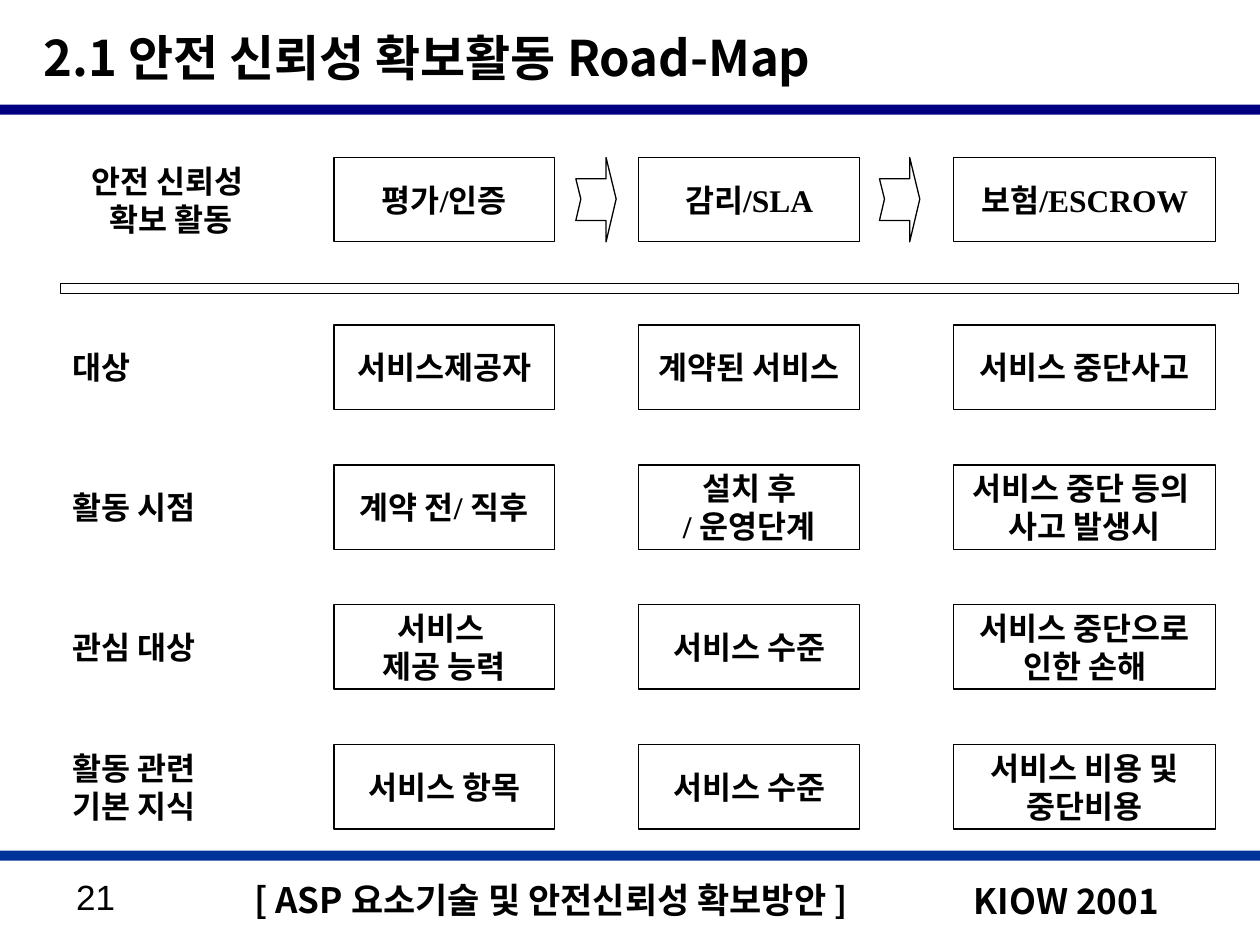
from lxml import etree
from pptx import Presentation
from pptx.dml.color import RGBColor
from pptx.enum.shapes import MSO_SHAPE
from pptx.enum.text import MSO_ANCHOR, PP_ALIGN
from pptx.oxml.ns import qn
from pptx.util import Inches, Pt

RECTANGLE = MSO_SHAPE.RECTANGLE
MIDDLE, TOP = MSO_ANCHOR.MIDDLE, MSO_ANCHOR.TOP
LEFT, CENTER = PP_ALIGN.LEFT, PP_ALIGN.CENTER

BLACK, NAVY, BLUE = "000000", "000080", "003399"
SANS, SERIF, PLAIN = "Noto Sans CJK KR", "Times New Roman", "Arial"

ROW_HEIGHT = 0.67
HEADER_TOP = 1.25
FIRST_ROW_TOP, ROW_PITCH = 2.58, 1.11
LABEL_LEFT, LABEL_WIDTH = 0.48, 1.75
COLUMNS = [(2.65, 1.75), (5.07, 1.75), (7.57, 2.08)]
ARROW_LEFTS = [4.57, 6.98]
ARROW_OUTLINE = [(0, 0.17), (0.24, 0.17), (0.24, 0), (0.32, 0.33),
                 (0.24, 0.67), (0.24, 0.5), (0, 0.5), (0.04, 0.33)]

HEADER = ("안전 신뢰성 \n확보 활동", ["평가/인증", "감리/SLA", "보험/ESCROW"])
ROWS = [
    ("대상", ["서비스제공자", "계약된 서비스", "서비스 중단사고"]),
    ("활동 시점", ["계약 전/ 직후", "설치 후\n/ 운영단계", "서비스 중단 등의 \n사고 발생시"]),
    ("관심 대상", ["서비스 \n제공 능력", "서비스 수준", "서비스 중단으로\n인한 손해"]),
    ("활동 관련\n기본 지식", ["서비스 항목", "서비스 수준", "서비스 비용 및\n중단비용"]),
]


def color(value):
    return RGBColor.from_string(value)


class SlideBuilder:
    def __init__(self, slide):
        self.slide = slide

    def fill_text(self, shape, text, size=18, font=SERIF, bold=True,
                  align=CENTER, anchor=MIDDLE, wrap=False):
        frame = shape.text_frame
        frame.text = text
        frame.word_wrap = wrap
        frame.vertical_anchor = anchor
        for para in frame.paragraphs:
            para.alignment = align
            for span in para.runs:
                span.font.size = Pt(size)
                span.font.bold = bold
                span.font.color.rgb = color(BLACK)
                span.font.name = font
                properties = span._r.get_or_add_rPr()
                east_asian = etree.SubElement(properties, qn("a:ea"))
                east_asian.set("typeface", SANS)

    def text(self, left, top, width, height, text, **style):
        box = self.slide.shapes.add_textbox(
            Inches(left), Inches(top), Inches(width), Inches(height))
        self.fill_text(box, text, **style)
        return box

    def bar(self, top, fill):
        bar = self.slide.shapes.add_shape(
            RECTANGLE, 0, Inches(top), Inches(10.08), Inches(0.08))
        bar.shadow.inherit = False
        bar.fill.solid()
        bar.fill.fore_color.rgb = color(fill)
        bar.line.fill.background()

    def outline(self, shape):
        shape.shadow.inherit = False
        shape.fill.background()
        shape.line.color.rgb = color(BLACK)
        shape.line.width = Pt(0.75)

    def frame(self, left, top, width, height, text=""):
        box = self.slide.shapes.add_shape(
            RECTANGLE, Inches(left), Inches(top), Inches(width), Inches(height))
        self.outline(box)
        if text:
            self.fill_text(box, text)

    def arrow(self, left, top):
        points = [(Inches(left + x), Inches(top + y)) for x, y in ARROW_OUTLINE]
        builder = self.slide.shapes.build_freeform(*points[0])
        builder.add_line_segments(points[1:], close=True)
        self.outline(builder.convert_to_shape())

    def row(self, top, label, cells, align=LEFT):
        self.text(LABEL_LEFT, top, LABEL_WIDTH, ROW_HEIGHT, label, align=align)
        for (left, width), cell in zip(COLUMNS, cells):
            self.frame(left, top, width, ROW_HEIGHT, cell)


def main():
    deck = Presentation()
    deck.slide_width, deck.slide_height = Inches(10), Inches(7.5)
    page = SlideBuilder(deck.slides.add_slide(deck.slide_layouts[6]))

    page.text(1.92, 6.92, 5.1, 0.55, "[ ASP 요소기술 및 안전신뢰성 확보방안 ]",
              size=20, font=SANS, align=LEFT, anchor=TOP)
    page.bar(6.75, BLUE)
    page.bar(0.83, NAVY)
    event = page.text(7.63, 6.9, 2.25, 0.55, "KIOW 2001", size=20, font=SANS,
                      align=LEFT, anchor=TOP, wrap=True)
    event.text_frame.paragraphs[0].line_spacing = 1.1
    event.text_frame.paragraphs[0].space_before = Pt(12.5)
    page.text(0.25, 0.08, 8.42, 0.75, "2.1 안전 신뢰성 확보활동 Road-Map",
              size=28, font=SANS, align=LEFT, wrap=True)

    page.row(HEADER_TOP, *HEADER, align=CENTER)
    for left in ARROW_LEFTS:
        page.arrow(left, HEADER_TOP)
    page.frame(LABEL_LEFT, 2.25, 9.35, 0.08)
    for index, (label, cells) in enumerate(ROWS):
        page.row(FIRST_ROW_TOP + index * ROW_PITCH, label, cells)

    page.text(0.31, 6.9, 0.9, 0.55, "21", size=20, font=PLAIN, bold=False,
              anchor=TOP, wrap=True)
    deck.save("out.pptx")


if __name__ == "__main__":
    main()
